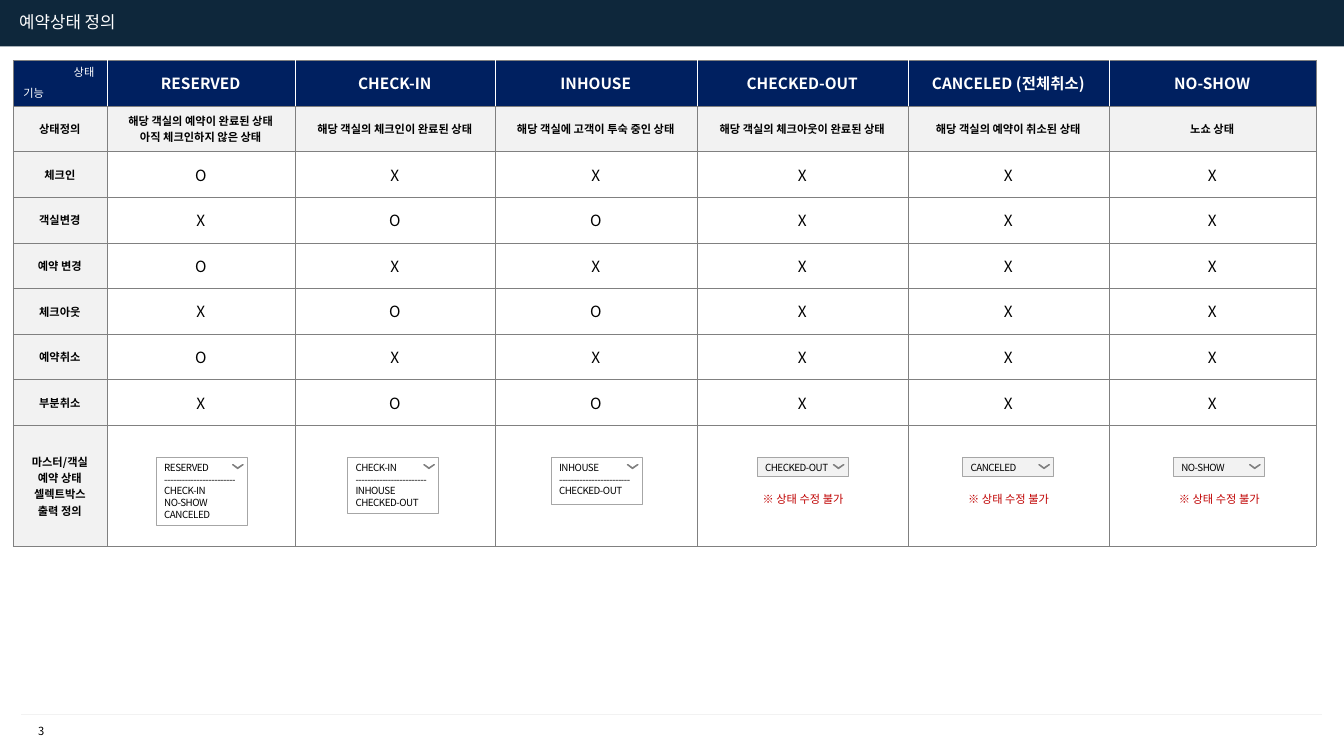
from lxml import etree
from pptx import Presentation
from pptx import util as u
from pptx.dml.color import RGBColor
from pptx.enum import shapes, text
from pptx.oxml import ns

FONT = "Noto Sans CJK KR"
CENTER, LEFT = text.PP_ALIGN.CENTER, text.PP_ALIGN.LEFT


def rgb(code):
    return RGBColor.from_string(code)


def write(tf, lines, size, color="000000", bold=False, align=CENTER, spacing=None, spc=None):
    for i, line in enumerate(lines):
        p = tf.add_paragraph() if i else tf.paragraphs[0]
        r = p.add_run()
        r.text = line
        for k, v in {"alignment": align, "line_spacing": spacing}.items():
            setattr(p, k, v)
        for k, v in {"size": u.Pt(size), "bold": bold, "name": FONT}.items():
            setattr(r.font, k, v)
        r.font.color.rgb = rgb(color)
        rPr = r._r.get_or_add_rPr()
        etree.SubElement(rPr, ns.qn("a:ea"), typeface=FONT)
        if spc:
            rPr.set("spc", str(spc))


prs = Presentation()
prs.slide_width, prs.slide_height = u.Cm(33.87), u.Cm(19.05)
s = prs.slides.add_slide(prs.slide_layouts[5])

band = s.shapes.add_shape(shapes.MSO_SHAPE.RECTANGLE, 0, 0, prs.slide_width, u.Cm(1.17))
band.shadow.inherit = False
band.fill.solid()
band.fill.fore_color.rgb = rgb("0E273B")
band.line.fill.background()
s.shapes._spTree.insert(2, band._element)

title = s.shapes.title
for k, v in {"left": 0.23, "top": 0.18, "width": 6.12, "height": 0.76}.items():
    setattr(title, k, u.Cm(v))
title.text_frame.vertical_anchor = text.MSO_ANCHOR.MIDDLE
write(title.text_frame, ["예약상태 정의"], 12, "FFFFFF", align=LEFT)

rule = s.shapes.add_connector(shapes.MSO_CONNECTOR.STRAIGHT, u.Cm(0.53), u.Cm(18), u.Cm(33.32), u.Cm(18))
rule.line.color.rgb = rgb("F2F2F2")
rule.line.width = u.Pt(0.75)
etree.SubElement(rule._element.spPr, ns.qn("a:effectLst"))

header = ["", "RESERVED", "CHECK-IN", "INHOUSE", "CHECKED-OUT", "CANCELED (전체취소)", "NO-SHOW"]
definitions = [
    "상태정의",
    "해당 객실의 예약이 완료된 상태\n아직 체크인하지 않은 상태",
    "해당 객실의 체크인이 완료된 상태",
    "해당 객실에 고객이 투숙 중인 상태",
    "해당 객실의 체크아웃이 완료된 상태",
    "해당 객실의 예약이 취소된 상태",
    "노쇼 상태",
]
permissions = {
    "체크인": "OXXXXX",
    "객실변경": "XOOXXX",
    "예약 변경": "OXXXXX",
    "체크아웃": "XOOXXX",
    "예약취소": "OXXXXX",
    "부분취소": "XOOXXX",
}
rows = [header, definitions]
rows += [[name, *marks] for name, marks in permissions.items()]
rows.append(["마스터/객실\n예약 상태\n셀렉트박스\n출력 정의"] + [""] * 6)
widths = [2.36, 4.74, 5.04, 5.09, 5.32, 5.06, 5.22]
heights = [1.15] * 8 + [3.05]

table = s.shapes.add_table(
    len(rows), len(widths), u.Cm(0.33), u.Cm(1.52), u.Cm(sum(widths)), u.Cm(sum(heights))
).table
table.first_row = table.horz_banding = False
for col, w in zip(table.columns, widths):
    col.width = u.Cm(w)
for row, h in zip(table.rows, heights):
    row.height = u.Cm(h)

for i, row in enumerate(rows):
    for j, value in enumerate(row):
        cell = table.cell(i, j)
        cell.vertical_anchor = text.MSO_ANCHOR.MIDDLE
        if i == 0:
            fill, size, color, bold = "002060", 11, "FFFFFF", True
        elif i == 1 or j == 0:
            fill, size, color, bold = "F2F2F2", 8, "000000", True
        else:
            fill, size, color, bold = "FFFFFF", 11, "000000", False
        cell.fill.solid()
        cell.fill.fore_color.rgb = rgb(fill)
        if value:
            write(cell.text_frame, value.split("\n"), size, color, bold)
        inner = {"L": j > 0, "R": j < len(row) - 1, "T": False, "B": False}
        tcPr = cell._tc.get_or_add_tcPr()
        for n, (side, inside) in enumerate(inner.items()):
            ln = etree.Element(ns.qn("a:ln" + side), w="3175")
            paint = etree.SubElement(ln, ns.qn("a:solidFill"))
            edge = "FFFFFF" if i == 0 and inside else "808080"
            etree.SubElement(paint, ns.qn("a:srgbClr"), val=edge)
            tcPr.insert(n, ln)

DASHES = "-" * 24
selects = [
    (3.94, 1.7, ["RESERVED", DASHES, "CHECK-IN", "NO-SHOW", "CANCELED"]),
    (8.76, 1.4, ["CHECK-IN", DASHES, "INHOUSE", "CHECKED-OUT"]),
    (13.89, 1.19, ["INHOUSE", DASHES, "CHECKED-OUT"]),
    (19.08, 0.48, ["CHECKED-OUT"]),
    (24.26, 0.48, ["CANCELED"]),
    (29.57, 0.48, ["NO-SHOW"]),
]
labels = [
    (1.6, 1.52, 1.04, "상태", "FFFFFF"),
    (0.33, 2.06, 1.04, "기능", "FFFFFF"),
    (0.43, 18.14, 1.22, "3", "000000"),
]
chevron = [(0, 0), (0.02, 0), (0.13, 0.08), (0.25, 0), (0.27, 0), (0.13, 0.1)]
top = 11.53

for left, height, options in selects:
    locked = len(options) == 1
    group = s.shapes.add_group_shape()
    box = group.shapes.add_shape(
        shapes.MSO_SHAPE.RECTANGLE, u.Cm(left), u.Cm(top), u.Cm(2.29), u.Cm(height)
    )
    points = [(u.Cm(left + 1.92 + x), u.Cm(top + 0.18 + y)) for x, y in chevron]
    builder = group.shapes.build_freeform(*points[0])
    builder.add_line_segments(points[1:], close=True)
    arrow = builder.convert_to_shape()
    paints = [(box, "F2F2F2" if locked else "FFFFFF", "A6A6A6", 0.5), (arrow, "5F5F5F", "808080", 0.75)]
    for sp, fill, line, weight in paints:
        sp.shadow.inherit = False
        sp.fill.solid()
        sp.fill.fore_color.rgb = rgb(fill)
        sp.line.color.rgb = rgb(line)
        sp.line.width = u.Pt(weight)
    tf = box.text_frame
    margins = {"margin_left": 0.2, "margin_right": 0.2, "margin_top": 0.1, "margin_bottom": 0.1}
    for k, v in margins.items():
        setattr(tf, k, u.Cm(v))
    tf.word_wrap = True
    tf.vertical_anchor = text.MSO_ANCHOR.TOP
    write(tf, options, 7, align=LEFT, spacing=u.Pt(8.4), spc=-30)
    if locked:
        labels.append((left - 0.15, 12.27, 2.62, "※ 상태 수정 불가", "C00000"))

for left, y, width, label, color in labels:
    tf = s.shapes.add_textbox(u.Cm(left), u.Cm(y), u.Cm(width), u.Cm(0.61)).text_frame
    tf.word_wrap = False
    tf.auto_size = text.MSO_AUTO_SIZE.SHAPE_TO_FIT_TEXT
    write(tf, [label], 8, color)

prs.save("out.pptx")
